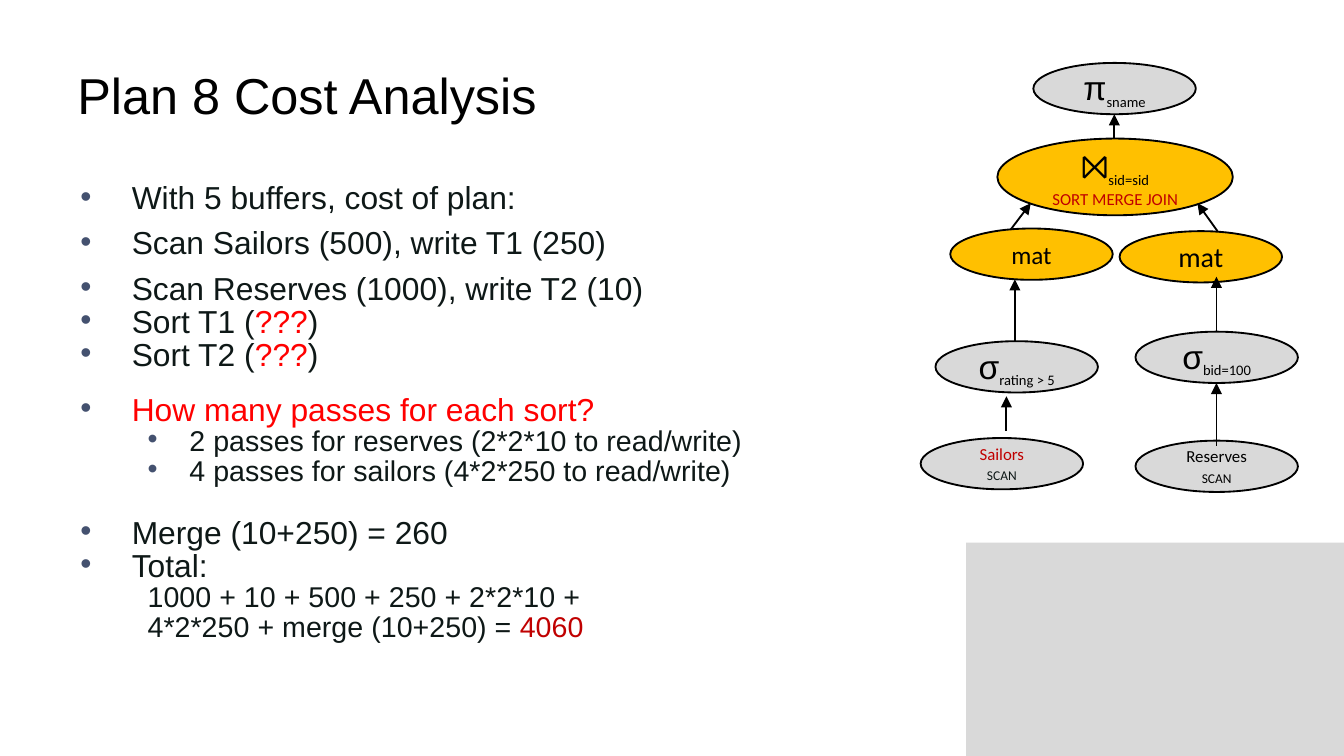
from dataclasses import dataclass
from typing import Optional

from lxml import etree
from pptx import Presentation
from pptx.dml.color import RGBColor
from pptx.enum.shapes import MSO_CONNECTOR, MSO_SHAPE
from pptx.enum.text import MSO_ANCHOR, MSO_AUTO_SIZE, PP_ALIGN
from pptx.oxml.ns import qn
from pptx.util import Cm, Pt

ELLIPSE, RECTANGLE = MSO_SHAPE.OVAL, MSO_SHAPE.RECTANGLE
STRAIGHT = MSO_CONNECTOR.STRAIGHT
MIDDLE, TOP = MSO_ANCHOR.MIDDLE, MSO_ANCHOR.TOP
LEFT, CENTER = PP_ALIGN.LEFT, PP_ALIGN.CENTER
NO_AUTOFIT = MSO_AUTO_SIZE.NONE


@dataclass(frozen=True)
class Theme:
    black: str = "000000"
    ink: str = "0E1817"
    bullet: str = "44516F"
    red: str = "FF0000"
    dark_red: str = "C00000"
    grey: str = "D9D9D9"
    amber: str = "FFC000"
    sans: str = "Arial"
    label: str = "Calibri"
    title_size: float = 27
    body_size: float = 17
    detail_size: float = 15.3
    symbol_size: float = 18
    mat_size: float = 15
    subscript_size: float = 13.5
    small_size: float = 9
    line_spacing: float = 0.7
    line_width: float = 1


THEME = Theme()


@dataclass(frozen=True)
class TextRun:
    text: str
    size: float
    color: str = THEME.black
    font: str = THEME.label
    subscript: bool = False
    small_caps: bool = False


@dataclass(frozen=True)
class Level:
    number: int
    size: float
    margin: float
    indent: float
    bulleted: bool = True


@dataclass(frozen=True)
class BodyLine:
    level: Level
    phrases: tuple
    space_before: Optional[float] = None  # points; None means 20 % of a line


@dataclass(frozen=True)
class Node:
    left: float
    top: float
    lines: tuple
    fill: str = THEME.grey
    width: float = 3.07
    height: float = 0.97
    soft_break: bool = False


@dataclass(frozen=True)
class Arrow:
    start: tuple
    end: tuple


POINT = Level(0, THEME.body_size, 0.97, -0.97)
DETAIL = Level(1, THEME.detail_size, 2.06, -0.79)
SUM = Level(1, THEME.detail_size, 1.27, 0, bulleted=False)

UNKNOWN = ("???", THEME.red)
BODY = (
    BodyLine(POINT, ("With 5 buffers, cost of plan:",), 0),
    BodyLine(POINT, ("Scan Sailors (500), write T1 (250)",), 10),
    BodyLine(POINT, ("Scan Reserves (1000), write T2 (10)",), 10),
    BodyLine(POINT, ("Sort T1 (", UNKNOWN, ")")),
    BodyLine(POINT, ("Sort T2 (", UNKNOWN, ")")),
    BodyLine(POINT, (("How many passes for each sort?", THEME.red),), 15),
    BodyLine(DETAIL, ("2 passes for reserves (2*2*10 to read/write)",)),
    BodyLine(DETAIL, ("4 passes for sailors (4*2*250 to read/write)",)),
    BodyLine(POINT, ("Merge (10+250) = 260",), 20),
    BodyLine(POINT, ("Total:",)),
    BodyLine(SUM, ("1000 + 10 + 500 + 250 + 2*2*10 +",)),
    BodyLine(SUM, ("4*2*250 + merge (10+250) = ", ("4060", THEME.dark_red))),
)


def operator(symbol: str, subscript: str) -> tuple:
    return (TextRun(symbol, THEME.symbol_size, font=THEME.sans),
            TextRun(subscript, THEME.subscript_size, subscript=True))


def table_scan(name: str, name_color: str, scan_color: str) -> tuple:
    return ((TextRun(name, THEME.small_size, name_color),),
            (TextRun("scan", THEME.small_size, scan_color, small_caps=True),))


JOIN_METHOD = TextRun("SORT MERGE JOIN", THEME.small_size, THEME.dark_red)
NODES = (
    Node(17.96, 4.32, ((TextRun("mat", THEME.subscript_size),),), THEME.amber),
    Node(21.16, 4.37, ((TextRun("mat", THEME.mat_size),),), THEME.amber),
    Node(17.68, 6.45, (operator("σ", "rating > 5"),)),
    Node(17.4, 8.28, table_scan("Sailors", THEME.dark_red, THEME.ink)),
    Node(21.46, 8.33, table_scan("Reserves", THEME.black, THEME.black)),
    Node(21.46, 6.27, (operator("σ", "bid=100"),)),
    Node(19.53, 1.19, (operator("π", "sname"),)),
    Node(18.85, 2.62, (operator("⨝", "sid=sid"), (JOIN_METHOD,)),
         THEME.amber, 4.45, 1.45, soft_break=True),
)
ARROWS = (
    Arrow((19.1, 4.34), (19.48, 3.84)),
    Arrow((23.01, 4.37), (22.63, 3.84)),
    Arrow((22.99, 8.43), (22.99, 7.24)),
    Arrow((19.02, 8.15), (19.02, 7.49)),
    Arrow((19.18, 6.45), (19.18, 5.28)),
    Arrow((21.06, 2.62), (21.06, 2.16)),
    Arrow((22.99, 6.27), (22.99, 5.23)),
)


def set_attributes(target, values: dict) -> None:
    for name, value in values.items():
        setattr(target, name, value)


def place(shape, left: float, top: float, width: float, height: float) -> None:
    set_attributes(shape, {"left": Cm(left), "top": Cm(top),
                           "width": Cm(width), "height": Cm(height)})


def set_frame(text_frame, anchor, side: float, top: float, bottom: float) -> None:
    set_attributes(text_frame, {
        "word_wrap": True, "auto_size": NO_AUTOFIT, "vertical_anchor": anchor,
        "margin_left": Cm(side), "margin_right": Cm(side),
        "margin_top": Cm(top), "margin_bottom": Cm(bottom)})


def add_run(paragraph, text_run: TextRun) -> None:
    run = paragraph.add_run()
    run.text = text_run.text
    set_attributes(run.font, {"name": text_run.font, "size": Pt(text_run.size)})
    run.font.color.rgb = RGBColor.from_string(text_run.color)
    properties = run.font._element
    if text_run.subscript:
        properties.set("baseline", "-25000")
    if text_run.small_caps:
        properties.set("cap", "small")


def format_paragraph(paragraph, line: BodyLine) -> None:
    """Set level, spacing, indents and bullet of a body paragraph."""
    level = line.level
    set_attributes(paragraph, {"level": level.number, "alignment": LEFT,
                               "line_spacing": THEME.line_spacing})
    properties = paragraph._p.get_or_add_pPr()
    properties.set("marL", str(Cm(level.margin)))
    properties.set("indent", str(Cm(level.indent)))
    if line.space_before is None:
        spacing = etree.SubElement(properties, qn("a:spcBef"))
        etree.SubElement(spacing, qn("a:spcPct"), val="20000")
    else:
        paragraph.space_before = Pt(line.space_before)
    if level.bulleted:
        color = etree.SubElement(properties, qn("a:buClr"))
        etree.SubElement(color, qn("a:srgbClr"), val=THEME.bullet)
        etree.SubElement(properties, qn("a:buFont"), typeface=THEME.sans)
        etree.SubElement(properties, qn("a:buChar"), char="•")
    else:
        etree.SubElement(properties, qn("a:buNone"))


def fill_body(text_frame, lines: tuple) -> None:
    for index, line in enumerate(lines):
        paragraph = text_frame.add_paragraph() if index else text_frame.paragraphs[0]
        format_paragraph(paragraph, line)
        for phrase in line.phrases:
            text, color = (phrase, THEME.ink) if isinstance(phrase, str) else phrase
            add_run(paragraph, TextRun(text, line.level.size, color, THEME.sans))


def add_filled_shape(slide, kind, box: tuple, fill: str):
    shape = slide.shapes.add_shape(kind, *map(Cm, box))
    shape.shadow.inherit = False
    shape.fill.solid()
    shape.fill.fore_color.rgb = RGBColor.from_string(fill)
    return shape


def set_line(line) -> None:
    line.color.rgb = RGBColor.from_string(THEME.black)
    line.width = Pt(THEME.line_width)


def draw_node(slide, node: Node) -> None:
    box = (node.left, node.top, node.width, node.height)
    shape = add_filled_shape(slide, ELLIPSE, box, node.fill)
    set_line(shape.line)
    text_frame = shape.text_frame
    set_frame(text_frame, MIDDLE, 0.19, 0.1, 0.1)
    paragraph = text_frame.paragraphs[0]
    for index, runs in enumerate(node.lines):
        if index and node.soft_break:
            paragraph.add_line_break()
        elif index:
            paragraph = text_frame.add_paragraph()
        paragraph.alignment = CENTER
        for text_run in runs:
            add_run(paragraph, text_run)


def draw_arrow(slide, arrow: Arrow) -> None:
    connector = slide.shapes.add_connector(
        STRAIGHT, *map(Cm, arrow.start + arrow.end))
    set_line(connector.line)
    outline = connector._element.spPr.find(qn("a:ln"))
    etree.SubElement(outline, qn("a:tailEnd"), type="triangle")
    etree.SubElement(connector._element.spPr, qn("a:effectLst"))


def main() -> None:
    presentation = Presentation()
    set_attributes(presentation, {"slide_width": Cm(25.4), "slide_height": Cm(14.29)})
    slide = presentation.slides.add_slide(presentation.slide_layouts[1])
    title, body = slide.placeholders

    panel = add_filled_shape(slide, RECTANGLE, (18.26, 10.26, 7.14, 4.03), THEME.grey)
    panel.line.fill.background()
    title._element.addprevious(panel._element)

    place(title, 1.27, 0.58, 22.86, 2.39)
    set_frame(title.text_frame, MIDDLE, 0.19, 0.1, 0.1)
    heading = title.text_frame.paragraphs[0]
    heading.alignment = LEFT
    add_run(heading, TextRun("Plan 8 Cost Analysis", THEME.title_size, font=THEME.sans))

    place(body, 1.27, 3.33, 22.86, 9.42)
    set_frame(body.text_frame, TOP, 0.25, 0.23, 0.13)
    fill_body(body.text_frame, BODY)

    for node in NODES:
        draw_node(slide, node)
    for arrow in ARROWS:
        draw_arrow(slide, arrow)
    presentation.save("out.pptx")


if __name__ == "__main__":
    main()
